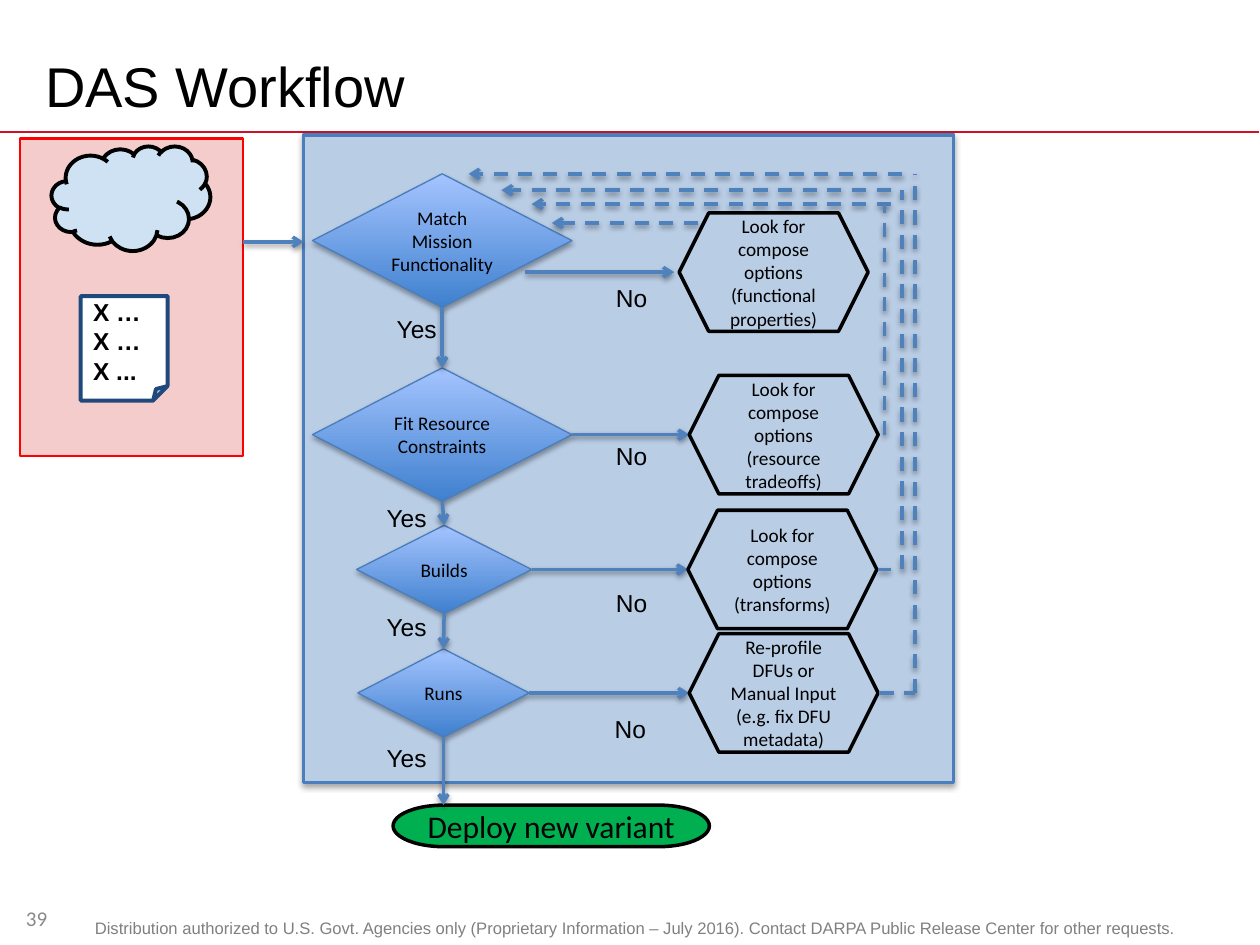
from itertools import pairwise

from lxml import etree
from pptx import Presentation
from pptx.dml.color import RGBColor
from pptx.enum import dml, shapes, text
from pptx.oxml.ns import qn
from pptx.util import Inches, Pt

BLACK = RGBColor(0, 0, 0)
WHITE = RGBColor(255, 255, 255)
GRAY = RGBColor(0x80, 0x80, 0x80)
PALE_GRAY = RGBColor(0x89, 0x89, 0x89)
RULE = RGBColor(0xCE, 0x11, 0x26)
RED = RGBColor(255, 0, 0)
PINK = RGBColor(0xF4, 0xCC, 0xCC)
PANEL = RGBColor(0xB9, 0xCD, 0xE5)
EDGE = RGBColor(0x4B, 0x7E, 0xBC)
ARROW = RGBColor(0x4F, 0x81, 0xBD)
DEEP = RGBColor(0x3F, 0x80, 0xCE)
LIGHT = RGBColor(0xA4, 0xC4, 0xFF)
GREEN = RGBColor(0, 0xB0, 0x50)
SKY = RGBColor(0xCF, 0xE2, 0xF3)
NAVY = RGBColor(0x1F, 0x49, 0x7D)

KIND = shapes.MSO_SHAPE
MID = text.MSO_ANCHOR.MIDDLE
CENTER = text.PP_ALIGN.CENTER
LEFT = text.PP_ALIGN.LEFT


def add_shadow(item, alpha, dist):
    """Give a shape or connector a soft shadow straight below it."""
    props = item._element.spPr
    for old in props.findall(qn("a:effectLst")):
        props.remove(old)
    effects = etree.SubElement(props, qn("a:effectLst"))
    outer = etree.SubElement(effects, qn("a:outerShdw"), blurRad=str(Pt(3.1)),
                             dist=str(Pt(dist)), dir="5400000", rotWithShape="0")
    color = etree.SubElement(outer, qn("a:srgbClr"), val="000000")
    etree.SubElement(color, qn("a:alpha"), val=str(alpha * 1000))


def write(shape, words, size, font="Arial", color=BLACK, align=LEFT, bold=False):
    frame = shape.text_frame
    frame.text = words
    for para in frame.paragraphs:
        para.alignment = align
        for run in para.runs:
            run.font.size, run.font.name, run.font.bold = Pt(size), font, bold
            run.font.color.rgb = color
    return frame


def add_label(slide, box, words, size, wrap=False, **style):
    label = slide.shapes.add_textbox(*map(Inches, box))
    frame = write(label, words, size, **style)
    frame.word_wrap = wrap
    return frame


def add_block(slide, kind, box, fill, line, width):
    block = slide.shapes.add_shape(kind, *map(Inches, box))
    block.shadow.inherit = False
    if fill is None:
        block.fill.background()
    else:
        block.fill.solid()
        block.fill.fore_color.rgb = fill
    block.line.color.rgb = line
    block.line.width = Pt(width)
    return block


def add_line(slide, start, end, color=ARROW, width=2, head=False, dash=False,
             shadow=True):
    line = slide.shapes.add_connector(shapes.MSO_CONNECTOR.STRAIGHT,
                                      *map(Inches, start + end))
    line.line.color.rgb = color
    line.line.width = Pt(width)
    if dash:
        line.line.dash_style = dml.MSO_LINE.DASH
    if head:
        etree.SubElement(line.line._get_or_add_ln(), qn("a:tailEnd"), type="arrow")
    if shadow:
        add_shadow(line, 38, 1.6)
    else:
        etree.SubElement(line._element.spPr, qn("a:effectLst"))
    return line


def add_frame(slide):
    """Place the title, its rule, the footer and the page number."""
    add_line(slide, (0, 1.05), (9.99, 1.05), RULE, 1, shadow=False)
    foot = add_label(
        slide, (0.58, 7.27, 8.92, 0.26),
        "Distribution authorized to U.S. Govt. Agencies only (Proprietary Information"
        " – July 2016). Contact DARPA Public Release Center for other requests.",
        9.5, wrap=True, color=GRAY, align=CENTER)
    foot.paragraphs[0].line_spacing = 0.8
    title = add_label(slide, (0.26, 0.3, 9, 0.75), "DAS Workflow", 32, wrap=True)
    page = add_label(slide, (0, 7.09, 0.58, 0.4), "39", 12, wrap=True,
                     font="Calibri", color=PALE_GRAY, align=CENTER)
    title.vertical_anchor = page.vertical_anchor = MID


def add_inputs(slide, x, y, w, h):
    panel = add_block(slide, KIND.RECTANGLE, (x, y, w, h), PINK, RED, 1.5)
    add_block(slide, KIND.CLOUD, (x + 0.25, y + 0.06, 1.26, 0.83), SKY, BLACK, 2.25)
    note = add_block(slide, KIND.FOLDED_CORNER, (x + 0.48, y + 1.25, 0.69, 0.83),
                     WHITE, NAVY, 2.25)
    frame = write(note, "X …\nX …\nX ...", 14, bold=True)
    frame.vertical_anchor = MID
    frame.margin_top = frame.margin_bottom = Inches(0.1)
    return panel


def add_test(slide, box, words):
    test = add_block(slide, KIND.DIAMOND, box, WHITE, EDGE, 0.75)
    test.fill.gradient()
    test.fill.gradient_angle = 90
    for stop, color, place in zip(test.fill.gradient_stops, (DEEP, LIGHT), (0, 1)):
        stop.color.rgb, stop.position = color, place
    add_shadow(test, 35, 1.8)
    write(test, words, 11, "Calibri", align=CENTER).vertical_anchor = MID
    return test


def add_remedy(slide, x, y, words):
    remedy = add_block(slide, KIND.HEXAGON, (x, y, 1.5, 0.94), None, BLACK, 2)
    write(remedy, words, 11, "Calibri", align=CENTER).vertical_anchor = MID


def add_flow(slide, x, y, w, h):
    """Draw the panel with its four tests, remedies and ways back."""
    panel = add_block(slide, KIND.RECTANGLE, (x, y, w, h), PANEL, EDGE, 2)
    add_shadow(panel, 35, 1.8)
    # test box, test, remedy corner, remedy, "No" corner
    rows = [
        ((0.07, 0.31, 2.06, 1.06), "Match Mission Functionality", (2.98, 0.62),
         "Look for compose options (functional properties)", (2.38, 1.13)),
        ((0.07, 1.85, 2.06, 1.06), "Fit Resource Constraints", (3.06, 1.91),
         "Look for compose options (resource tradeoffs)", (2.38, 2.38)),
        ((0.42, 3.1, 1.39, 0.7), "Builds", (3.05, 2.98),
         "Look for compose options (transforms)", (2.38, 3.55)),
        ((0.43, 4.08, 1.36, 0.7), "Runs", (3.06, 3.96),
         "Re-profile DFUs or Manual Input (e.g. fix DFU metadata)", (2.37, 4.55)),
    ]
    tests = []
    for (left, top, wide, high), ask, (rx, ry), fix, (nx, ny) in rows:
        test = add_test(slide, (x + left, y + top, wide, high), ask)
        mid = y + top + high / 2
        if tests:
            no = add_line(slide, (x + left + wide, mid), (x + rx, mid), head=True)
            no.begin_connect(test, 3)
        else:
            add_line(slide, (x + 1.76, y + 1.09), (x + 2.94, y + 1.09), head=True)
        add_remedy(slide, x + rx, y + ry, fix)
        add_label(slide, (x + nx, y + ny, 0.45, 0.34), "No", 14)
        tests.append(test)

    # dashed ways back: from x, arrow tip x, height
    for start, tip, rise in [(3.13, 1.97, 0.7), (4.66, 1.81, 0.55),
                             (4.66, 1.57, 0.44), (4.75, 1.31, 0.31)]:
        add_line(slide, (x + start, y + rise), (x + tip, y + rise),
                 head=True, dash=True)
    for side, low, rise in [(4.61, 2.38, 0.55), (4.75, 3.45, 0.44),
                            (4.85, 4.43, 0.31)]:
        add_line(slide, (x + side, y + low), (x + side, y + rise), dash=True)
    for start, end, low in [(4.57, 4.85, 4.43), (4.56, 4.66, 3.45)]:
        add_line(slide, (x + start, y + low), (x + end, y + low), dash=True)

    goal = add_block(slide, KIND.FLOWCHART_TERMINATOR,
                     (x + 0.71, y + h + 0.18, 2.51, 0.33), GREEN, BLACK, 2)
    frame = write(goal, "Deploy new variant", 18, "Calibri", align=CENTER)
    frame.vertical_anchor = MID
    for upper, lower in pairwise(tests):
        join(slide, upper, 2, lower, 0)
    end = (x + 1.11, y + h + 0.18)
    last = add_line(slide, (x + 1.11, y + 4.78), end, head=True)
    last.begin_connect(tests[-1], 2)
    for left, top in [(0.64, 1.37), (0.56, 2.87), (0.56, 3.74), (0.56, 4.78)]:
        add_label(slide, (x + left, y + top, 0.52, 0.34), "Yes", 14)
    return panel


def join(slide, first, out, second, into):
    arrow = add_line(slide, (0, 0), (1, 1), head=True)
    arrow.begin_connect(first, out)
    arrow.end_connect(second, into)


def main():
    deck = Presentation()
    deck.slide_width, deck.slide_height = Inches(10), Inches(7.5)
    slide = deck.slides.add_slide(deck.slide_layouts[6])
    add_frame(slide)
    inputs = add_inputs(slide, 0.16, 1.1, 1.77, 2.52)
    add_flow(slide, 2.41, 1.07, 5.16, 5.14)
    feed = add_line(slide, (1.93, 1.92), (2.41, 1.92), head=True)
    deck.save("out.pptx")


if __name__ == "__main__":
    main()
